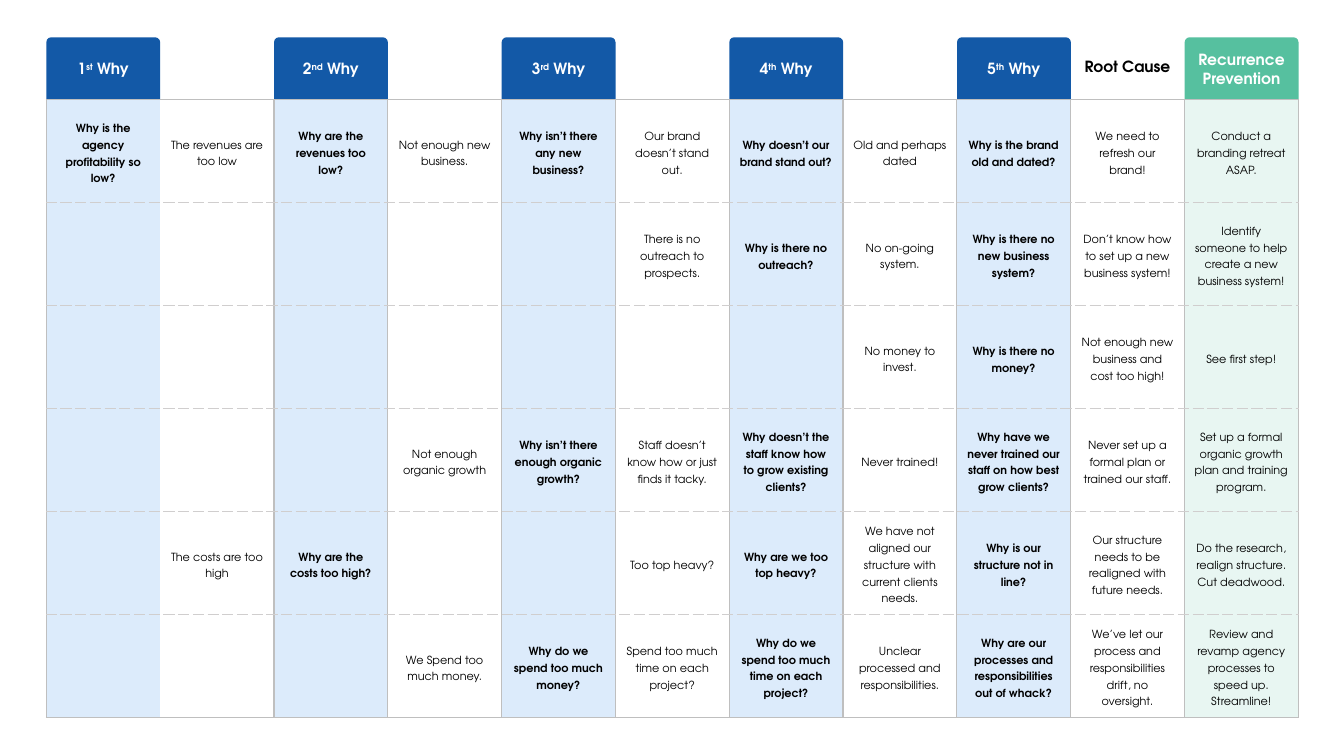
"""Builds a five-whys root cause slide: a bordered table under rounded header tabs."""
from lxml import etree
from pptx import Presentation
from pptx import util as u
from pptx.dml.color import RGBColor
from pptx.enum import shapes, text
from pptx.oxml.ns import qn

FONT = "TeX Gyre Adventor"
BLACK, WHITE, BLUE, GREEN = "000000", "FFFFFF", "1359A7", "56C09F"
PALE, MINT = "DCEBFB", "E8F6F2"
SOLID, DASH = ("BFBFBF", 1, "solid"), ("D0CECE", 0.5, "sysDash")
LEFT, TOP, WIDE, HEAD, HIGH, TAB = 0.46, 0.37, 1.129, 0.62, 1.022, 0.61

TABS = [
    (0, BLUE, ["1", "st", " Why"]),
    (2, BLUE, ["2", "nd", " Why"]),
    (4, BLUE, ["3", "rd", " Why"]),
    (6, BLUE, ["4", "th", " Why"]),
    (8, BLUE, ["5", "th", " Why"]),
    (10, GREEN, ["Recurrence Prevention"]),
]
ROOT = (9, "Root Cause")
ROWS = [
    ["Why is the agency profitability so low?", "The revenues are too low",
     "Why are the revenues too low?", "Not enough new business.",
     "Why isn’t there any new business?", "Our brand doesn’t stand out.",
     "Why doesn’t our brand stand out?", "Old and perhaps dated",
     "Why is the brand old and dated?", "We need to refresh our brand!",
     "Conduct a branding retreat ASAP."],
    ["", "", "", "", "", "There is no outreach to prospects.",
     "Why is there no outreach?", "No on-going system.",
     "Why is there no new business system?",
     "Don’t know how to set up a new business system!",
     "Identify someone to help create a new business system!"],
    ["", "", "", "", "", "", "", "No money to invest.",
     "Why is there no money?", "Not enough new business and cost too high!",
     "See first step!"],
    ["", "", "", "Not enough organic growth",
     "Why isn’t there enough organic growth?",
     "Staff doesn’t know how or just finds it tacky.",
     "Why doesn’t the staff know how to grow existing clients?",
     "Never trained!",
     "Why have we never trained our staff on how best grow clients?",
     "Never set up a formal plan or trained our staff.",
     "Set up a formal organic growth plan and training program."],
    ["", "The costs are too high", "Why are the costs too high?", "", "",
     "Too top heavy?", "Why are we too top heavy?",
     "We have not aligned our structure with current clients needs.",
     "Why is our structure not in line?",
     "Our structure needs to be realigned with future needs.",
     "Do the research, realign structure. Cut deadwood."],
    ["", "", "", "We Spend too much money.",
     "Why do we spend too much money?",
     "Spend too much time on each project?",
     "Why do we spend too much time on each project?",
     "Unclear processed and responsibilities.",
     "Why are our processes and responsibilities out of whack?",
     "We’ve let our process and responsibilities drift, no oversight.",
     "Review and revamp agency processes to speed up. Streamline!"],
]
COLS = len(ROWS[0])


def paint(fill, color):
    fill.solid()
    fill.fore_color.rgb = RGBColor.from_string(color)


def write(para, words, size, color, bold):
    para.alignment = text.PP_ALIGN.CENTER
    run = para.add_run()
    run.text = words
    run.font.name, run.font.size, run.font.bold = FONT, u.Pt(size), bold
    run.font.color.rgb = RGBColor.from_string(color)
    return run


def edge(cell, side, line):
    color, width, dash = line
    ln = etree.SubElement(cell._tc.get_or_add_tcPr(), qn("a:ln" + side), w=str(u.Pt(width)))
    fill = etree.SubElement(ln, qn("a:solidFill"))
    etree.SubElement(fill, qn("a:srgbClr"), val=color)
    etree.SubElement(ln, qn("a:prstDash"), val=dash)


def fill_cell(cell, row, col, words):
    last = col == COLS - 1
    why = col % 2 == 0 and not last
    if col % 2 == 0:
        edge(cell, "L", SOLID)
    if col % 2 or last:
        edge(cell, "R", SOLID)
    edge(cell, "T", SOLID if row == 1 else DASH)
    edge(cell, "B", SOLID if row == len(ROWS) else DASH)
    paint(cell.fill, PALE if why else MINT if last else WHITE)
    cell.vertical_anchor = text.MSO_ANCHOR.MIDDLE
    if words:
        para = cell.text_frame.paragraphs[0]
        para.line_spacing = u.Pt(12)
        write(para, words, 8, BLACK, why)


def add_grid(slide):
    frame = slide.shapes.add_table(
        len(ROWS) + 1, COLS, u.Inches(LEFT), u.Inches(TOP),
        u.Inches(WIDE * COLS), u.Inches(HEAD + HIGH * len(ROWS)))
    grid = frame.table
    grid.first_row = grid.horz_banding = False
    style = grid._tbl.tblPr.find(qn("a:tableStyleId"))
    style.text = "{2D5ABB26-0587-4C30-8999-92F81FD0307C}"
    for col in grid.columns:
        col.width = u.Inches(WIDE)
    for num, row in enumerate(grid.rows):
        row.height = u.Inches(HIGH if num else HEAD)
    for col in range(COLS):
        cell = grid.cell(0, col)
        edge(cell, "B", SOLID)
        cell.fill.background()
        cell.vertical_anchor = text.MSO_ANCHOR.MIDDLE
        if col == ROOT[0]:
            write(cell.text_frame.paragraphs[0], ROOT[1], 11, BLACK, True)
    for num, row in enumerate(ROWS, 1):
        for col, words in enumerate(row):
            fill_cell(grid.cell(num, col), num, col, words)


def add_tab(slide, col, color, parts):
    tab = slide.shapes.add_shape(
        shapes.MSO_SHAPE.ROUND_2_SAME_RECTANGLE, u.Inches(LEFT + WIDE * col),
        u.Inches(TOP), u.Inches(WIDE), u.Inches(TAB))
    tab.adjustments[0], tab.adjustments[1] = 0.08, 0
    tab.shadow.inherit = False
    paint(tab.fill, color)
    tab.line.fill.background()
    frame = tab.text_frame
    frame.word_wrap = True
    frame.vertical_anchor = text.MSO_ANCHOR.MIDDLE
    for num, words in enumerate(parts):
        run = write(frame.paragraphs[0], words, 11, WHITE, True)
        if num == 1:
            run._r.get_or_add_rPr().set("baseline", "30000")


def main():
    deck = Presentation()
    deck.slide_width, deck.slide_height = u.Inches(13.33), u.Inches(7.5)
    slide = deck.slides.add_slide(deck.slide_layouts[6])
    add_grid(slide)
    for col, color, parts in TABS:
        add_tab(slide, col, color, parts)
    deck.save("out.pptx")


if __name__ == "__main__":
    main()
